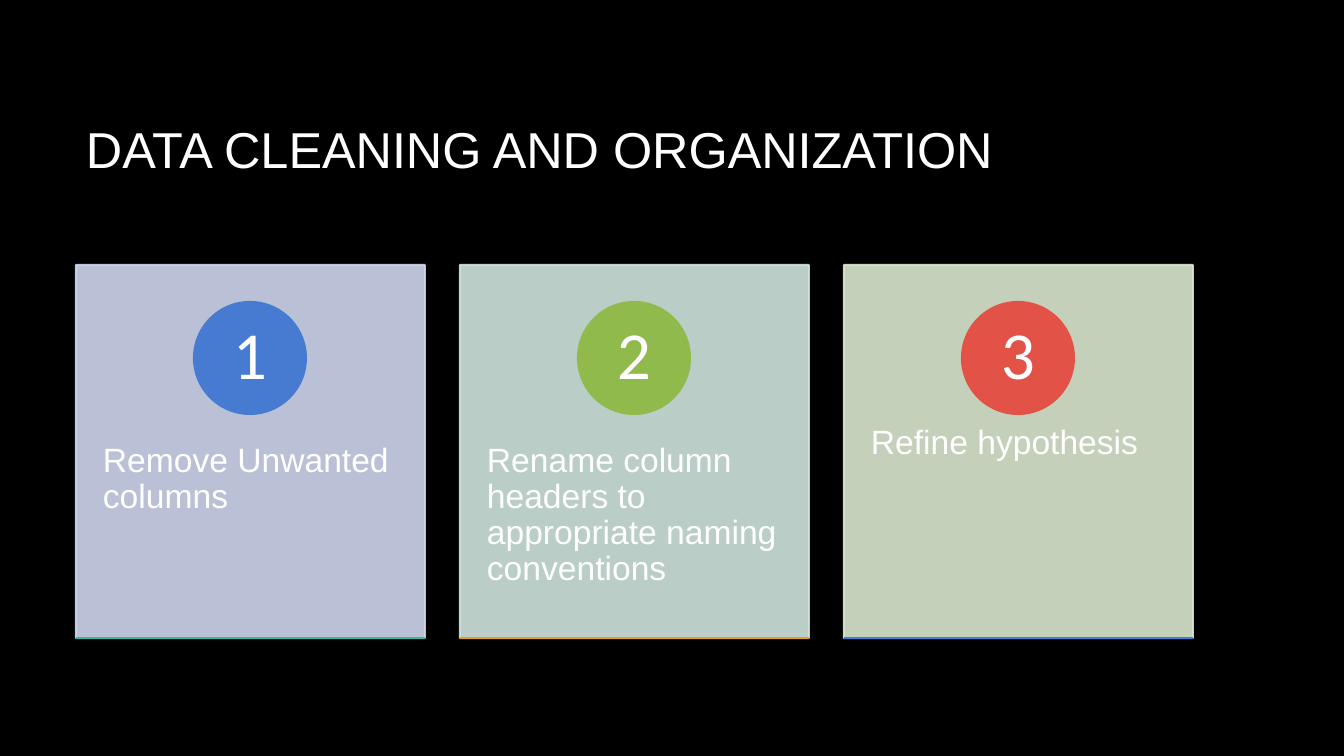
"""Build the data cleaning slide with its three numbered step cards."""
from lxml import etree
from pptx import Presentation
from pptx import util as u
from pptx.dml.color import RGBColor
from pptx.enum import shapes, text
from pptx.oxml import ns

COLORS = {
    "background": "000000", "text": "FFFFFF",
    "lavender": "CFD7EE", "mint": "CFE4DD", "sage": "DBE7D0",
    "blue": "477BD1", "green": "90BA4C", "red": "E25247",
    "teal": "46B298", "amber": "DD9D31",
}
PX = 914400 / 100.8
CARD_LEFT, CARD_TOP, CARD_WIDTH, CARD_HEIGHT, CARD_PITCH = 76, 265, 349, 373, 384
BADGE_SIZE, NUMBER_SIZE = 112, 80
STEPS = [
    ("Remove Unwanted columns", "lavender", "blue", "teal"),
    ("Rename column headers to appropriate naming conventions", "mint", "green", "amber"),
    ("Refine hypothesis", "sage", "red", "blue"),
]


def px(*lengths):
    return [u.Emu(round(length * PX)) for length in lengths]


def rgb(name):
    return RGBColor.from_string(COLORS[name])


def apply(target, **values):
    for name, value in values.items():
        setattr(target, name, value)


class Deck:
    def __init__(self):
        self.presentation = Presentation()
        width, height = px(1344, 756)
        apply(self.presentation, slide_width=width, slide_height=height)
        self.slide = self.presentation.slides.add_slide(self.presentation.slide_layouts[6])
        background = self.slide.background.fill
        background.solid()
        background.fore_color.rgb = rgb("background")

    def outline(self, line, color):
        line.color.rgb = rgb(color)
        line.width = u.Pt(1.5)

    def shape(self, kind, box, color, opacity=100):
        shape = self.slide.shapes.add_shape(kind, *px(*box))
        shape.shadow.inherit = False
        shape.fill.solid()
        shape.fill.fore_color.rgb = rgb(color)
        self.outline(shape.line, color)
        if opacity < 100:
            for tint in shape._element.spPr.iter(ns.qn("a:srgbClr")):
                etree.SubElement(tint, ns.qn("a:alpha"), val=str(opacity * 1000))

    def rule(self, left, y, right, color):
        rule = self.slide.shapes.add_connector(
            shapes.MSO_CONNECTOR.STRAIGHT, *px(left, y, right, y))
        self.outline(rule.line, color)
        etree.SubElement(rule._element.spPr, ns.qn("a:effectLst"))

    def text(self, words, box, size, font="Arial", inset=(10, 5),
             anchor=text.MSO_ANCHOR.MIDDLE, align=text.PP_ALIGN.LEFT, spacing=0.9):
        frame = self.slide.shapes.add_textbox(*px(*box)).text_frame
        side, end = px(*inset)
        apply(frame, word_wrap=True, vertical_anchor=anchor, margin_left=side,
              margin_right=side, margin_top=end, margin_bottom=end)
        paragraph = frame.paragraphs[0]
        apply(paragraph, alignment=align, line_spacing=spacing)
        run = paragraph.add_run()
        run.text = words
        apply(run.font, name=font, size=u.Pt(size))
        run.font.color.rgb = rgb("text")

    def card(self, index, words, panel, badge, base):
        left = CARD_LEFT + index * CARD_PITCH
        bottom = CARD_TOP + CARD_HEIGHT
        badge_left = left + (CARD_WIDTH - BADGE_SIZE) // 2
        number_left = left + (CARD_WIDTH - NUMBER_SIZE) // 2
        self.shape(shapes.MSO_SHAPE.RECTANGLE,
                   (left, CARD_TOP, CARD_WIDTH, CARD_HEIGHT), panel, opacity=90)
        self.text(words, (left, 407, CARD_WIDTH, 224), 24,
                  inset=(27, 36), anchor=text.MSO_ANCHOR.TOP)
        self.shape(shapes.MSO_SHAPE.OVAL, (badge_left, 302, BADGE_SIZE, BADGE_SIZE), badge)
        self.text(str(index + 1), (number_left, 318, NUMBER_SIZE, NUMBER_SIZE), 48,
                  font="Calibri", inset=(9, 1), align=text.PP_ALIGN.CENTER)
        self.rule(left, bottom, left + CARD_WIDTH, base)


def main():
    deck = Deck()
    deck.text("DATA CLEANING AND ORGANIZATION", (76, 68, 1117, 160), 36, spacing=1.0)
    for index, step in enumerate(STEPS):
        deck.card(index, *step)
    deck.presentation.save("out.pptx")


if __name__ == "__main__":
    main()
